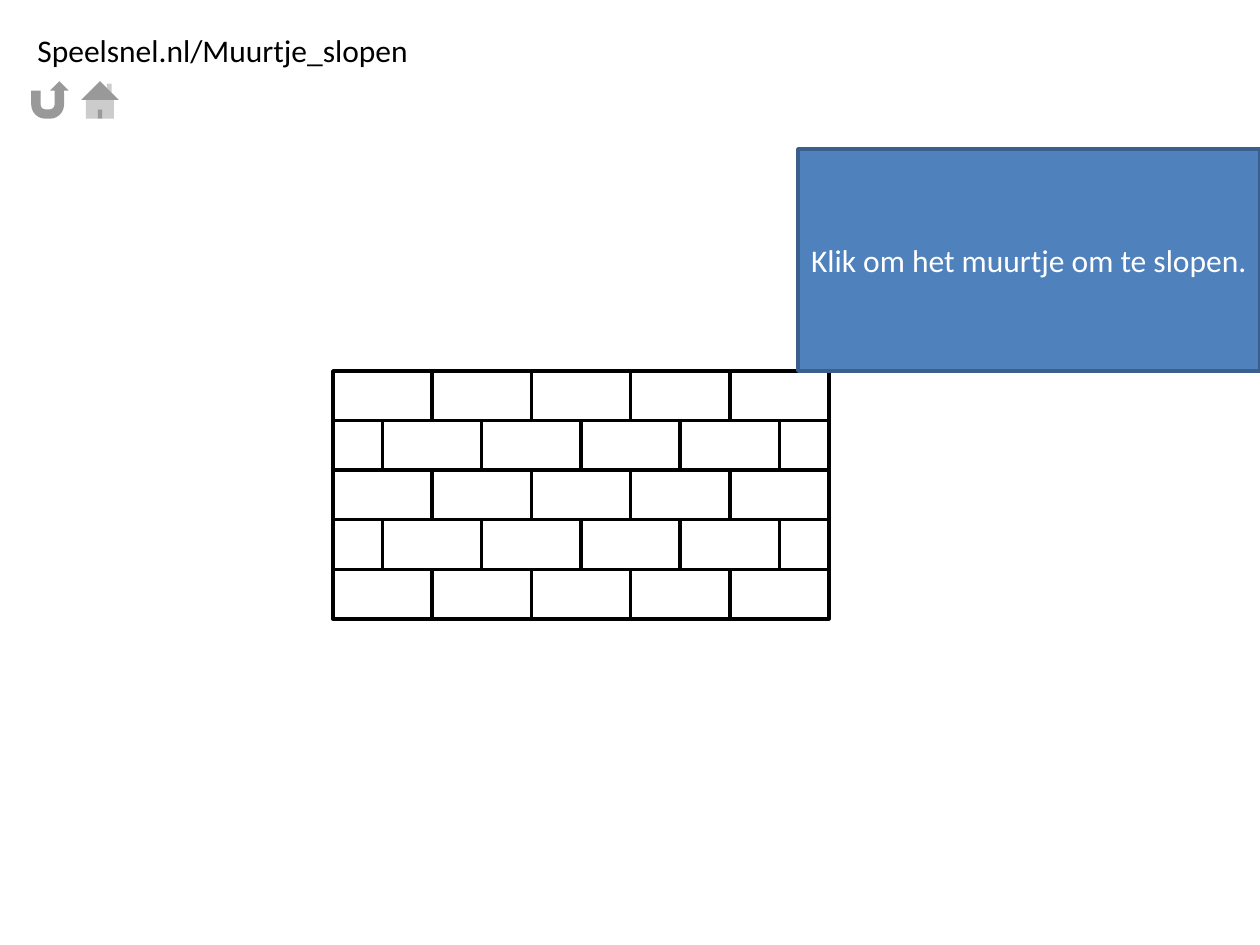
from pptx import Presentation
from pptx import util as u
from pptx.dml.color import RGBColor
from pptx.enum import shapes, text

PX = 914400 // 126
SHAPE = shapes.MSO_SHAPE


def px(length):
    return u.Emu(round(length * PX))


def colour(hex_code):
    return RGBColor.from_string(hex_code)


def add_block(page, kind, box, fill="FFFFFF", line=None):
    """Add a flat preset shape; box is left, top, width, height in px."""
    block = page.shapes.add_shape(kind, *map(px, box))
    block.shadow.inherit = False
    block.fill.solid()
    block.fill.fore_color.rgb = colour(fill)
    if line:
        block.line.color.rgb = colour(line)
        block.line.width = u.Pt(2)
    else:
        block.line.fill.background()
    return block


def write(block, words, ink, align):
    frame = block.text_frame
    frame.vertical_anchor = text.MSO_ANCHOR.MIDDLE
    para = frame.paragraphs[0]
    para.text = words
    para.alignment = align
    para.font.name = "Calibri"
    para.font.size = u.Pt(18)
    para.font.color.rgb = colour(ink)


def add_wall(page, box, rows=5, bricks=5):
    """Lay bricks in running bond, with half bricks closing every second row."""
    left, top, width, height = box
    half, course = width / bricks / 2, height / rows
    for row in range(rows):
        if row % 2:
            sizes = [1] + [2] * (bricks - 1) + [1]
        else:
            sizes = [2] * bricks
        x = left
        for size in sizes:
            brick = (x, top + row * course, size * half, course)
            add_block(page, SHAPE.RECTANGLE, brick, line="000000")
            x += size * half


def add_instruction(page, box):
    panel = add_block(page, SHAPE.RECTANGLE, box, "4F81BD", "3A5F8C")
    write(panel, "Klik om het muurtje om te slopen.", "FFFFFF", text.PP_ALIGN.CENTER)


def add_header(page, box):
    """Place the title bar with the navigation buttons in a row below it."""
    left, top, width, height = box
    side = height // 2
    title = add_block(page, SHAPE.RECTANGLE, (left, top, width, side))
    write(title, "Speelsnel.nl/Muurtje_slopen", "000000", text.PP_ALIGN.LEFT)
    buttons = (SHAPE.ACTION_BUTTON_RETURN, SHAPE.ACTION_BUTTON_HOME)
    for index, kind in enumerate(buttons):
        add_block(page, kind, (left + index * side, top + side, side, side))


def main():
    deck = Presentation()
    deck.slide_width, deck.slide_height = px(1260), px(945)
    page = deck.slides.add_slide(deck.slide_layouts[6])
    add_wall(page, (333, 371, 496, 248))
    add_instruction(page, (798, 149, 462, 222))
    add_header(page, (25, 25, 1206, 100))
    deck.save("out.pptx")


if __name__ == "__main__":
    main()
